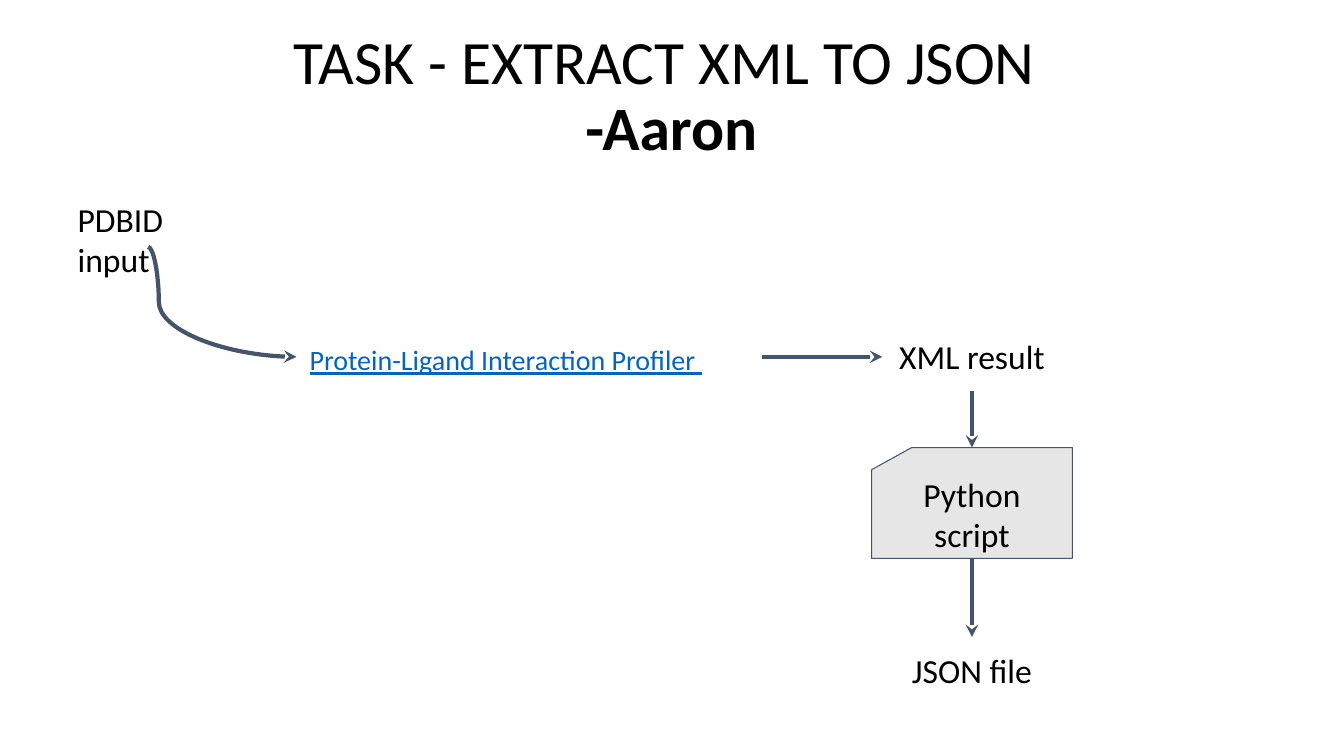
from dataclasses import dataclass

import pptx
import pptx.dml.color
import pptx.enum.shapes
import pptx.enum.text
import pptx.oxml.ns
import pptx.util
from lxml import etree

Inches = pptx.util.Inches
Align = pptx.enum.text.PP_ALIGN
Anchor = pptx.enum.text.MSO_ANCHOR
Connector = pptx.enum.shapes.MSO_CONNECTOR


@dataclass(frozen=True)
class Theme:
    font: str = "Calibri"
    ink: str = "000000"
    link: str = "0563C1"
    line: str = "44546A"
    card: str = "E7E6E6"
    title_size: int = 44
    label_size: int = 24
    link_size: int = 20
    arrow_width: float = 3
    card_line_width: float = 0.75
    inset: float = 0.13


@dataclass(frozen=True)
class Box:
    left: float
    top: float
    width: float
    height: float

    @property
    def lengths(self):
        return [Inches(n) for n in (self.left, self.top, self.width, self.height)]

    @property
    def right(self):
        return self.left + self.width

    @property
    def bottom(self):
        return self.top + self.height

    @property
    def center(self):
        return self.left + self.width / 2

    @property
    def middle(self):
        return self.top + self.height / 2


THEME = Theme()


def rgb(value):
    return pptx.dml.color.RGBColor.from_string(value)


def write_text(shape, text, size, color=THEME.ink, align=Align.CENTER, anchor=Anchor.TOP):
    frame = shape.text_frame
    frame.word_wrap = True
    frame.vertical_anchor = anchor
    frame.margin_left = frame.margin_right = Inches(THEME.inset)
    frame.margin_top = frame.margin_bottom = Inches(THEME.inset)
    para = frame.paragraphs[0]
    para.text = text
    para.alignment = align
    para.font.name = THEME.font
    para.font.size = pptx.util.Pt(size)
    para.font.color.rgb = rgb(color)
    return para


def add_label(page, box, text, size=THEME.label_size, **style):
    return write_text(page.shapes.add_textbox(*box.lengths), text, size, **style)


def add_title(page, box, task, person):
    para = add_label(page, box, task, THEME.title_size)
    para.line_spacing = 0.9
    para.add_line_break()
    span = para.add_run()
    span.text = person
    span.font.bold = True


def add_card(page, box, text):
    card = page.shapes.add_shape(
        pptx.enum.shapes.MSO_SHAPE.FLOWCHART_CARD, *box.lengths)
    card.shadow.inherit = False
    card.fill.solid()
    card.fill.fore_color.rgb = rgb(THEME.card)
    card.line.color.rgb = rgb(THEME.line)
    card.line.width = pptx.util.Pt(THEME.card_line_width)
    write_text(card, text, THEME.label_size, anchor=Anchor.MIDDLE)


def add_arrow(page, start, end, kind=Connector.STRAIGHT, bend=None):
    """Draw an arrow; bend is where a curve turns, as a share of its width."""
    arrow = page.shapes.add_connector(kind, *[Inches(n) for n in (*start, *end)])
    arrow.line.color.rgb = rgb(THEME.line)
    arrow.line.width = pptx.util.Pt(THEME.arrow_width)
    qn = pptx.oxml.ns.qn
    etree.SubElement(arrow.line._get_or_add_ln(), qn("a:tailEnd"), type="stealth")
    properties = arrow._element.spPr
    etree.SubElement(properties, qn("a:effectLst"))
    if bend is not None:
        guides = properties.find(qn("a:prstGeom")).find(qn("a:avLst"))
        etree.SubElement(guides, qn("a:gd"), name="adj1",
                         fmla=f"val {round(bend * 100000)}")


def add_flow(page, box):
    """Lead from the input through the profiler, then down the right column."""
    label_width, label_height = 1.78, 0.68
    source = Box(box.left, box.top, label_width, label_height)
    profiler = Box(box.left + 2.3, box.top + 1.43, 4.62, 0.54)
    column = box.right - label_width
    result = Box(column, profiler.middle - label_height / 2, label_width, label_height)
    output = Box(column, box.bottom - label_height, label_width, label_height)
    script = Box(result.center - 1.99 / 2, result.bottom + 0.56, 1.99, 1.1)

    add_label(page, source, "PDBID input", align=Align.LEFT)
    link = add_label(page, profiler, "Protein-Ligand Interaction Profiler ",
                     THEME.link_size, color=THEME.link, align=Align.LEFT)
    link.font.underline = True
    add_label(page, result, "XML result")
    add_card(page, script, "Python script")
    add_label(page, output, "JSON file")

    add_arrow(page, (source.left + 0.83, source.bottom - 0.07),
              (profiler.left, profiler.middle), Connector.CURVE, bend=0.072)
    add_arrow(page, (profiler.right, profiler.middle), (result.left, result.middle))
    for upper, lower in ((result, script), (script, output)):
        add_arrow(page, (upper.center, upper.bottom), (lower.center, lower.top))


def main():
    deck = pptx.Presentation()
    deck.slide_width, deck.slide_height = Inches(13.33), Inches(7.5)
    page = deck.slides.add_slide(deck.slide_layouts[6])
    add_title(page, Box(0.45, 0.18, 12.42, 0.84), "TASK - EXTRACT XML TO JSON ", "-Aaron")
    add_flow(page, Box(0.64, 1.84, 9.89, 5.16))
    deck.save("out.pptx")


if __name__ == "__main__":
    main()
